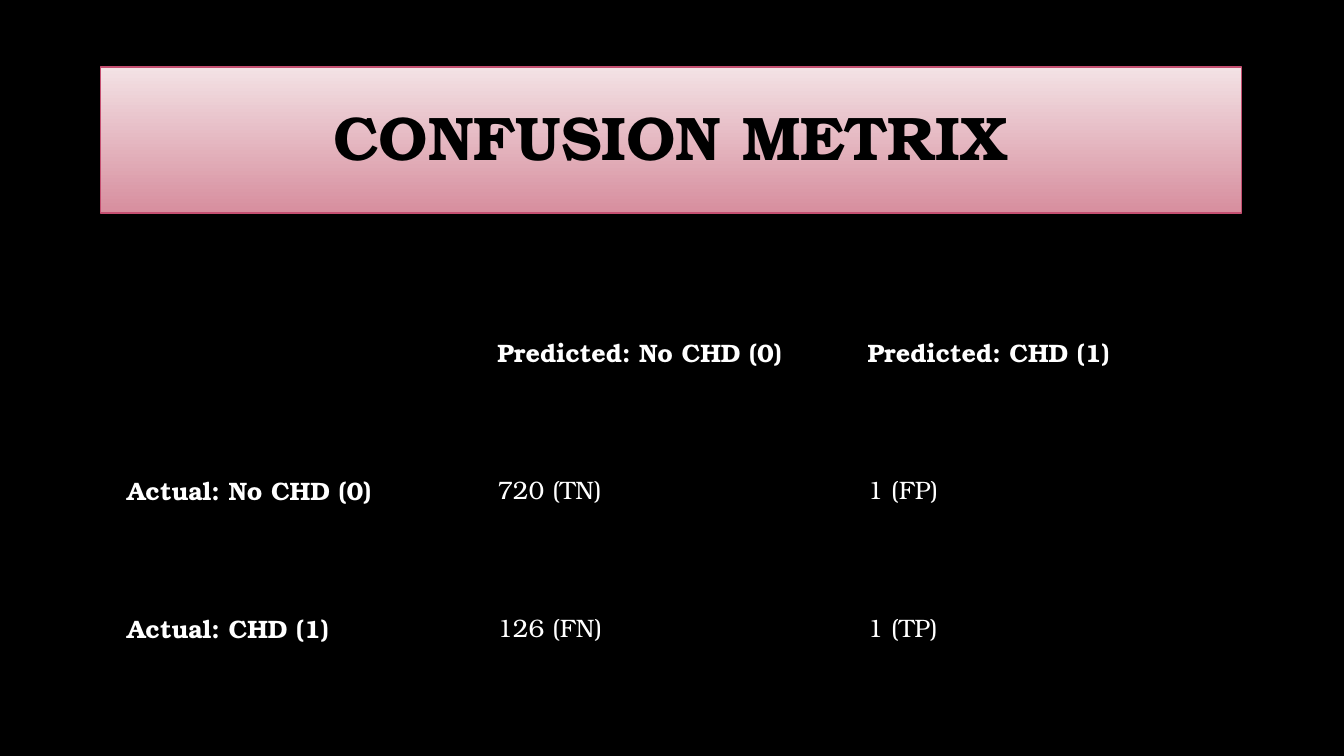
"""Build the confusion matrix slide."""
from dataclasses import dataclass

import pptx
import pptx.dml.color
import pptx.enum.text
import pptx.oxml.ns
import pptx.util

TITLE = "CONFUSION METRIX"
MATRIX = [
    ["", "Predicted: No CHD (0)", "Predicted: CHD (1)"],
    ["Actual: No CHD (0)", "720 (TN)", "1 (FP)"],
    ["Actual: CHD (1)", "126 (FN)", "1 (TP)"],
]
TITLE_BOX = (2.54, 1.69, 28.75, 3.68)
TABLE_BOX = (2.95, 7.14, 27.99, 10.41)
NO_STYLE_NO_GRID = "{2D5ABB26-0587-4C30-8999-92F81FD0307C}"

Cm = pptx.util.Cm
Pt = pptx.util.Pt


@dataclass(frozen=True)
class Theme:
    font: str = "TeX Gyre Bonum"
    dark: str = "000000"
    light: str = "FFFFFF"
    gradient: tuple = ("F3E2E5", "D78E9E")
    border: str = "C54F71"
    title_size: int = 44
    cell_size: int = 18


THEME = Theme()


def rgb(value):
    return pptx.dml.color.RGBColor.from_string(value)


def write(tf, text, size, color, bold):
    p = tf.paragraphs[0]
    r = p.add_run()
    r.text = text
    formats = {"name": THEME.font, "size": Pt(size), "bold": bold}
    for name, value in formats.items():
        setattr(r.font, name, value)
    r.font.color.rgb = rgb(color)
    return p


def add_title(s):
    sp = s.shapes.title
    for name, value in zip(("left", "top", "width", "height"), TITLE_BOX):
        setattr(sp, name, Cm(value))
    sp.fill.gradient()
    sp.fill.gradient_angle = 270
    for stop, color, position in zip(sp.fill.gradient_stops, THEME.gradient, (0, 1)):
        stop.color.rgb = rgb(color)
        stop.position = position
    sp.line.color.rgb = rgb(THEME.border)
    sp.line.width = Pt(1)
    tf = sp.text_frame
    tf.vertical_anchor = pptx.enum.text.MSO_ANCHOR.MIDDLE
    p = write(tf, TITLE, THEME.title_size, THEME.dark, True)
    p.alignment = pptx.enum.text.PP_ALIGN.CENTER
    p.line_spacing = 0.9


def add_matrix(s):
    frame = s.shapes.add_table(len(MATRIX), len(MATRIX[0]), *map(Cm, TABLE_BOX))
    table = frame.table
    table.first_row = table.horz_banding = False
    style = frame._element.find(".//" + pptx.oxml.ns.qn("a:tableStyleId"))
    style.text = NO_STYLE_NO_GRID
    for i, row in enumerate(MATRIX):
        for j, text in enumerate(row):
            cell = table.cell(i, j)
            cell.fill.background()
            cell.vertical_anchor = pptx.enum.text.MSO_ANCHOR.MIDDLE
            if text:
                write(cell.text_frame, text, THEME.cell_size, THEME.light, i == 0 or j == 0)


def main():
    prs = pptx.Presentation()
    prs.slide_width, prs.slide_height = Cm(33.87), Cm(19.05)
    s = prs.slides.add_slide(prs.slide_layouts[5])
    s.background.fill.solid()
    s.background.fill.fore_color.rgb = rgb(THEME.dark)
    add_title(s)
    add_matrix(s)
    prs.save("out.pptx")


if __name__ == "__main__":
    main()
